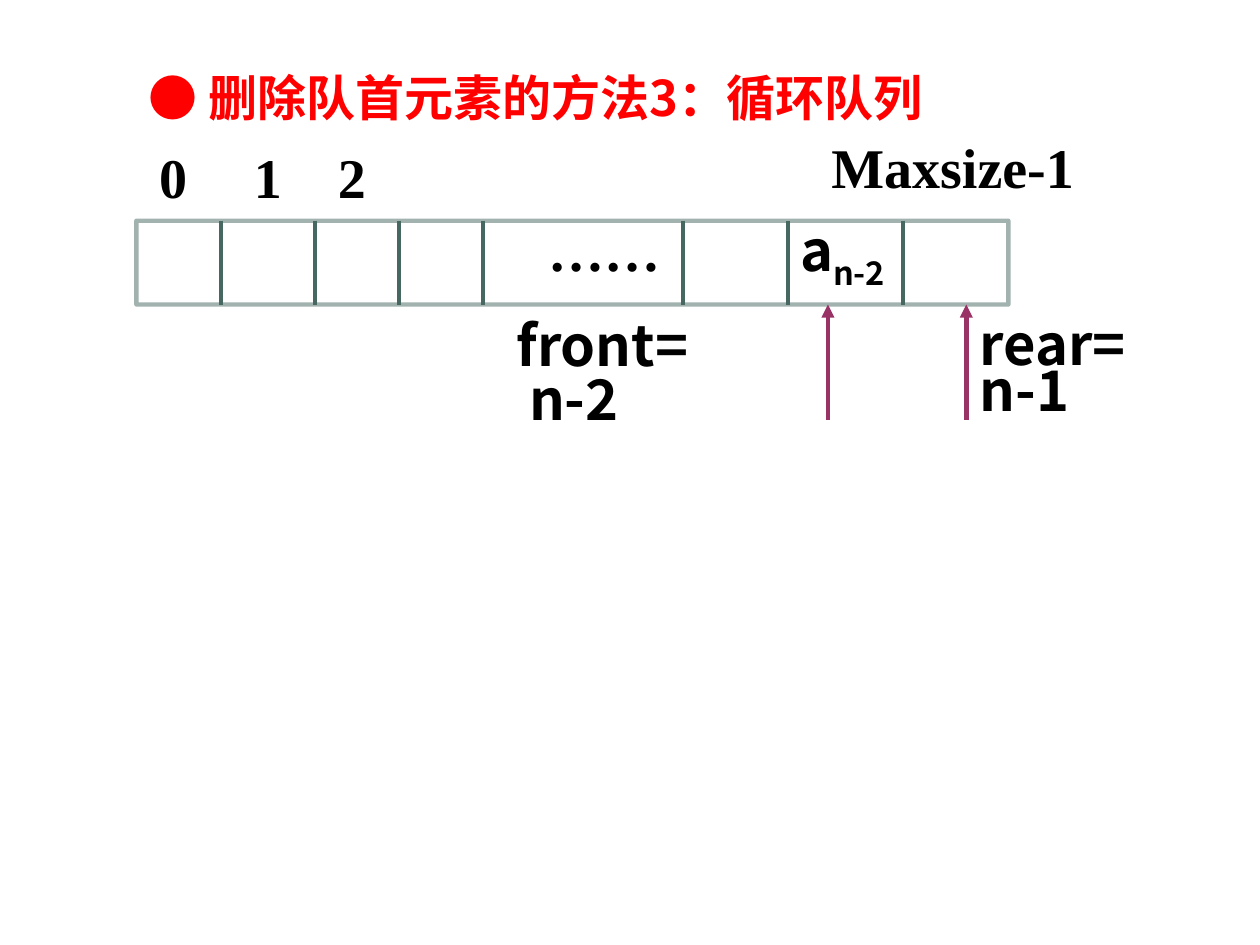
from lxml.etree import SubElement
from pptx import Presentation
from pptx.dml.color import RGBColor
from pptx.enum.shapes import MSO_CONNECTOR, MSO_SHAPE
from pptx.oxml.ns import qn
from pptx.util import Cm, Pt

THEME = {
    "sans": "Noto Sans CJK SC", "serif": "Times New Roman",
    "text": "000000", "title": "FF0000", "grid": "466861", "arrow": "993366",
    "title_size": 28, "body_size": 32, "outline": 2.5, "divider": 2.25,
}
TITLE = "● 删除队首元素的方法3：循环队列"
QUEUE = (2.75, 4.45, 17.58, 1.69)
DIVIDERS = [4.45, 6.35, 8.04, 9.74, 13.76, 15.88, 18.2]
INDEXES = [("0", 2.96), ("1", 4.87), ("2", 6.56)]
LABELS = [
    (["Maxsize-1"], (16.51, 2.54, 5.5, 1.6), "serif", 1),
    (["……"], (10.8, 4.23, 3.18, 1.6), "serif", 1),
    (["front=", " n-2"], (10.16, 6.14, 4.24, 2.7), "sans", 0.8),
    (["rear=", "n-1"], (19.5, 6.12, 4.88, 2.5), "sans", 0.65),
]
ELEMENT = ("a", "n-2", (15.88, 4.23, 2.54, 1.6))
POINTERS = [16.69, 19.48]
POINTER_TAIL = 8.46


def rgb(name):
    """Return a theme colour."""
    return RGBColor.from_string(THEME[name])


def add_text(s, lines, box, font, color="text", size="body_size", first=1, rest=1):
    """Add a bold text box, one paragraph per line, and return its frame."""
    tf = s.shapes.add_textbox(*map(Cm, box)).text_frame
    tf.word_wrap = True
    for i, line in enumerate(lines):
        p = tf.add_paragraph() if i else tf.paragraphs[0]
        p.add_run().text = line
        p.line_spacing = rest if i else first
        p.font.name, p.font.size, p.font.bold = THEME[font], Pt(THEME[size]), True
        p.font.color.rgb = rgb(color)
        pPr = p._p.pPr
        SubElement(pPr.find(qn("a:defRPr")), qn("a:ea"), typeface=THEME[font])
        if i == 0:
            before = SubElement(pPr, qn("a:spcBef"))
            SubElement(before, qn("a:spcPct"), val="50000")
            pPr.find(qn("a:lnSpc")).addnext(before)
    return tf


def add_line(s, x, y1, y2, color, width, arrow=False):
    """Add a vertical line, optionally with an arrowhead at its end."""
    c = s.shapes.add_connector(MSO_CONNECTOR.STRAIGHT, Cm(x), Cm(y1), Cm(x), Cm(y2))
    c.line.color.rgb, c.line.width = rgb(color), Pt(THEME[width])
    if arrow:
        SubElement(c.line._get_or_add_ln(), qn("a:tailEnd"), type="triangle")
    SubElement(c._element.spPr, qn("a:effectLst"))


def add_queue(s):
    """Draw the queue outline, its dividers and the two pointers."""
    sp = s.shapes.add_shape(MSO_SHAPE.RECTANGLE, *map(Cm, QUEUE))
    sp.shadow.inherit = False
    sp.fill.background()
    sp.line.color.rgb, sp.line.width = rgb("grid"), Pt(THEME["outline"])
    color = sp.line._get_or_add_ln().find(".//" + qn("a:srgbClr"))
    SubElement(color, qn("a:alpha"), val="50000")
    top, bottom = QUEUE[1], QUEUE[1] + QUEUE[3]
    for x in DIVIDERS:
        add_line(s, x, top, bottom, "grid", "divider")
    for x in POINTERS:
        add_line(s, x, POINTER_TAIL, bottom, "arrow", "outline", True)


def main():
    """Build the circular queue slide."""
    prs = Presentation()
    prs.slide_width, prs.slide_height = Cm(25.4), Cm(19.05)
    s = prs.slides.add_slide(prs.slide_layouts[6])
    add_queue(s)
    add_text(s, [TITLE], (2.75, 1.06, 19.68, 1.63), "sans", "title", "title_size", 1.15)
    for text, x in INDEXES:
        add_text(s, [text], (x, 2.75, 1.27, 1.6), "serif")
    for lines, box, font, spacing in LABELS:
        add_text(s, lines, box, font, rest=spacing)
    name, index, box = ELEMENT
    r = add_text(s, [name], box, "sans").paragraphs[0].add_run()
    r.text = index
    r.font._element.set("baseline", "-25000")
    prs.save("out.pptx")


if __name__ == "__main__":
    main()
